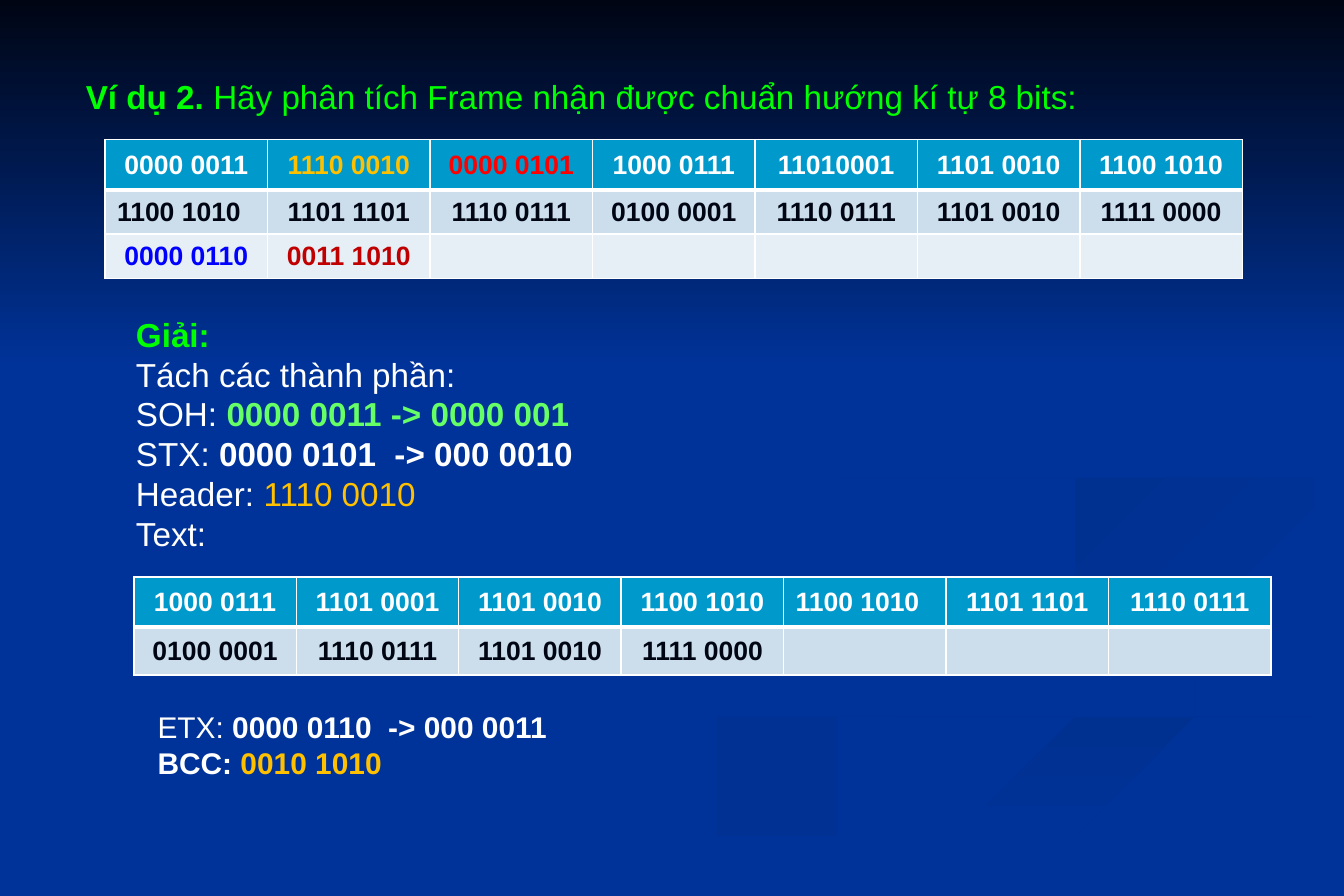
from dataclasses import dataclass, field

from lxml import etree
from pptx import Presentation
from pptx.dml.color import RGBColor
from pptx.dml.fill import FillFormat
from pptx.enum.shapes import MSO_SHAPE
from pptx.enum.text import MSO_ANCHOR, PP_ALIGN
from pptx.oxml.ns import qn
from pptx.slide import Slide
from pptx.table import _Cell
from pptx.text.text import _Paragraph
from pptx.util import Inches, Pt

CENTER, LEFT = PP_ALIGN.CENTER, PP_ALIGN.LEFT
MIDDLE = MSO_ANCHOR.MIDDLE
RECTANGLE = MSO_SHAPE.RECTANGLE
Point = tuple[float, float]


@dataclass(frozen=True)
class Theme:
    font: str = "Arial"
    background: str = "003399"
    ribbon: str = "003090"
    night: str = "000514"
    white: str = "FFFFFF"
    green: str = "00FF00"
    light_green: str = "66FF66"
    amber: str = "FFC000"
    red: str = "FF0000"
    dark_red: str = "C00000"
    blue: str = "0000FF"
    row_fills: tuple[str, ...] = ("0099CC", "CCDEEC", "E7EFF6")
    heading_size: int = 20
    closing_size: int = 18
    table_size: int = 16
    thin_border: int = 1
    thick_border: int = 3


THEME = Theme()


@dataclass(frozen=True)
class Span:
    text: str
    color: str = THEME.white
    bold: bool = False


@dataclass(frozen=True)
class TextBlock:
    box: tuple[float, float, float, float]
    size: int
    lines: list[list[Span]]
    wrap: bool = True
    line_spacing: float | None = None
    top_inset: float = 0.05


@dataclass(frozen=True)
class ByteTable:
    left: float
    top: float
    row_heights: list[float]
    rows: list[str]  # bytes separated by commas
    left_aligned: tuple[int, int]
    colors: dict[tuple[int, int], str] = field(default_factory=dict)
    column_count: int = 7
    column_width: float = 1.36


@dataclass(frozen=True)
class Ribbon:
    """Two edges, drawn as smooth curves one after the other."""
    colors: tuple[str, str]
    angle: int
    edges: tuple[list[Point], list[Point]]


DARKENING = (THEME.background, THEME.ribbon)
FADING = (THEME.ribbon, THEME.background)
RIBBONS = [
    Ribbon(DARKENING, 0, (
        [(6.47, 4.59), (6.53, 4.84), (7.36, 5.13), (8.46, 5.43), (8.85, 5.66), (8.32, 5.98),
         (6.07, 6.49), (3.38, 7.49)],
        [(4.06, 7.49), (6.34, 6.65), (8.65, 6.09), (9, 5.81), (8.63, 5.47), (7.22, 5.07), (6.47, 4.59)])),
    Ribbon(DARKENING, 45, (
        [(8.15, 4.64), (8.53, 4.98), (9.79, 5.3), (10.47, 5.53), (10.58, 5.81), (10.06, 6.05)],
        [(10.33, 5.81), (9.77, 5.44), (8.62, 5.12), (8.15, 4.64)])),
    Ribbon(FADING, 90, (
        [(5.66, 7.49), (7.08, 6.93), (8.96, 6.38), (11.23, 5.81)],
        [(11.23, 6.09), (9.24, 6.51), (7.54, 7.02), (6.43, 7.49)])),
    Ribbon(FADING, 45, (
        [(9.29, 4.96), (8.79, 4.6), (9.39, 4.3), (11.23, 4.02)],
        [(11.23, 4.2), (9.66, 4.43), (9.06, 4.72), (9.29, 4.96)])),
    Ribbon(FADING, 45, (
        [(8.58, 2.33), (9.52, 2.79), (10, 3.35), (9.47, 3.78), (7.3, 4.2), (6.5, 4.62), (7, 5)],
        [(6.68, 4.7), (7.31, 4.36), (9.28, 4.02), (10.06, 3.44), (9.48, 2.75), (8.58, 2.33)])),
]

TEXT_BLOCKS = [
    TextBlock((0.62, 0.65, 9.84, 0.34), THEME.heading_size, [
        [Span("Ví dụ 2. ", THEME.green, True),
         Span("Hãy phân tích Frame nhận được chuẩn hướng kí tự 8 bits:", THEME.green)],
    ], line_spacing=0.7, top_inset=0.08),
    TextBlock((1.04, 2.58, 9.17, 2.12), THEME.heading_size, [
        [Span("Giải:", THEME.green, True)],
        [Span("Tách các thành phần:")],
        [Span("SOH: "), Span("0000 0011 -> 0000 001", THEME.light_green, True)],
        [Span("STX:"), Span(" 0000 0101  -> 000 0010", bold=True)],
        [Span("Header: "), Span("1110 0010", THEME.amber)],
        [Span("Text:")],
    ]),
    TextBlock((1.22, 5.88, 3.49, 0.71), THEME.closing_size, [
        [Span("ETX:"), Span(" 0000 0110  -> 000 0011", bold=True)],
        [Span("BCC: ", bold=True), Span("0010 1010", THEME.amber, True)],
    ], wrap=False),
]

BYTE_TABLES = [
    ByteTable(0.88, 1.17, [0.42, 0.37, 0.37], [
        "0000 0011,1110 0010,0000 0101,1000 0111,11010001,1101 0010,1100 1010",
        "1100 1010,1101 1101,1110 0111,0100 0001,1110 0111,1101 0010,1111 0000",
        "0000 0110,0011 1010",
    ], (1, 0), {(0, 1): THEME.amber, (0, 2): THEME.red, (2, 0): THEME.blue, (2, 1): THEME.dark_red}),
    ByteTable(1.12, 4.83, [0.42, 0.4], [
        "1000 0111,1101 0001,1101 0010,1100 1010,1100 1010,1101 1101,1110 0111",
        "0100 0001,1110 0111,1101 0010,1111 0000",
    ], (0, 4)),
]


def smooth(points: list[Point], steps: int = 6) -> list[Point]:
    """Catmull-Rom curve through the points."""
    padded = [points[0], *points, points[-1]]
    curve = [points[0]]
    for a, b, c, d in zip(padded, padded[1:], padded[2:], padded[3:]):
        for step in range(1, steps + 1):
            t = step / steps
            curve.append(tuple(
                q + t / 2 * (r - p + t * (2 * p - 5 * q + 4 * r - s + t * (3 * (q - r) + s - p)))
                for p, q, r, s in zip(a, b, c, d)))
    return curve


def fill_gradient(fill: FillFormat, colors: tuple[str, str], angle: int) -> None:
    fill.gradient()
    fill.gradient_angle = (360 - angle) % 360
    for stop, color in zip(fill.gradient_stops, colors):
        stop.color.rgb = RGBColor.from_string(color)


def draw_backdrop(slide: Slide, width: int) -> None:
    backdrop = []
    for ribbon in RIBBONS:
        outline = [point for edge in ribbon.edges for point in smooth(edge)]
        builder = slide.shapes.build_freeform(*outline[0], scale=Inches(1))
        builder.add_line_segments(outline[1:], close=True)
        backdrop.append((builder.convert_to_shape(), ribbon.colors, ribbon.angle))
    # Dark band fading down from the top
    band = slide.shapes.add_shape(RECTANGLE, 0, 0, width, Inches(3.08))
    backdrop.append((band, (THEME.night, THEME.background), 90))
    for shape, colors, angle in backdrop:
        shape.shadow.inherit = False
        shape.line.fill.background()
        fill_gradient(shape.fill, colors, angle)


def add_span(paragraph: _Paragraph, span: Span, size: int) -> None:
    run = paragraph.add_run()
    run.text = span.text
    run.font.name, run.font.size, run.font.bold = THEME.font, Pt(size), span.bold
    run.font.color.rgb = RGBColor.from_string(span.color)


def draw_text(slide: Slide, block: TextBlock) -> None:
    text_frame = slide.shapes.add_textbox(*map(Inches, block.box)).text_frame
    text_frame.word_wrap = block.wrap
    text_frame.margin_top = Inches(block.top_inset)
    for index, spans in enumerate(block.lines):
        paragraph = text_frame.add_paragraph() if index else text_frame.paragraphs[0]
        paragraph.line_spacing = block.line_spacing
        for span in spans:
            add_span(paragraph, span, block.size)


def set_borders(cell: _Cell, row: int) -> None:
    properties = cell._tc.get_or_add_tcPr()
    thick_side = {0: "lnB", 1: "lnT"}.get(row)
    for position, side in enumerate(("lnL", "lnR", "lnT", "lnB")):
        width = THEME.thick_border if side == thick_side else THEME.thin_border
        line = etree.Element(qn(f"a:{side}"), w=str(Pt(width)))
        fill = etree.SubElement(line, qn("a:solidFill"))
        etree.SubElement(fill, qn("a:srgbClr"), val=THEME.white)
        properties.insert(position, line)


def draw_table(slide: Slide, data: ByteTable) -> None:
    size = data.column_count * data.column_width, sum(data.row_heights)
    table = slide.shapes.add_table(
        len(data.rows), data.column_count, *map(Inches, (data.left, data.top, *size))).table
    for row, (height, line) in enumerate(zip(data.row_heights, data.rows)):
        table.rows[row].height = Inches(height)
        texts = line.split(",")
        for column in range(data.column_count):
            cell = table.cell(row, column)
            cell.fill.solid()
            cell.fill.fore_color.rgb = RGBColor.from_string(THEME.row_fills[row])
            cell.vertical_anchor = MIDDLE
            set_borders(cell, row)
            paragraph = cell.text_frame.paragraphs[0]
            paragraph.alignment = LEFT if (row, column) == data.left_aligned else CENTER
            if column < len(texts):
                color = data.colors.get((row, column), THEME.night if row else THEME.white)
                add_span(paragraph, Span(texts[column], color, True), THEME.table_size)
            else:  # keep empty cells from stretching the row
                paragraph._p.get_or_add_endParaRPr().set("sz", str(THEME.table_size * 100))


def main() -> None:
    presentation = Presentation()
    presentation.slide_width, presentation.slide_height = Inches(11.25), Inches(7.5)
    slide = presentation.slides.add_slide(presentation.slide_layouts[6])
    slide.background.fill.solid()
    slide.background.fill.fore_color.rgb = RGBColor.from_string(THEME.background)
    draw_backdrop(slide, presentation.slide_width)
    for block in TEXT_BLOCKS:
        draw_text(slide, block)
    for byte_table in BYTE_TABLES:
        draw_table(slide, byte_table)
    presentation.save("out.pptx")


if __name__ == "__main__":
    main()
